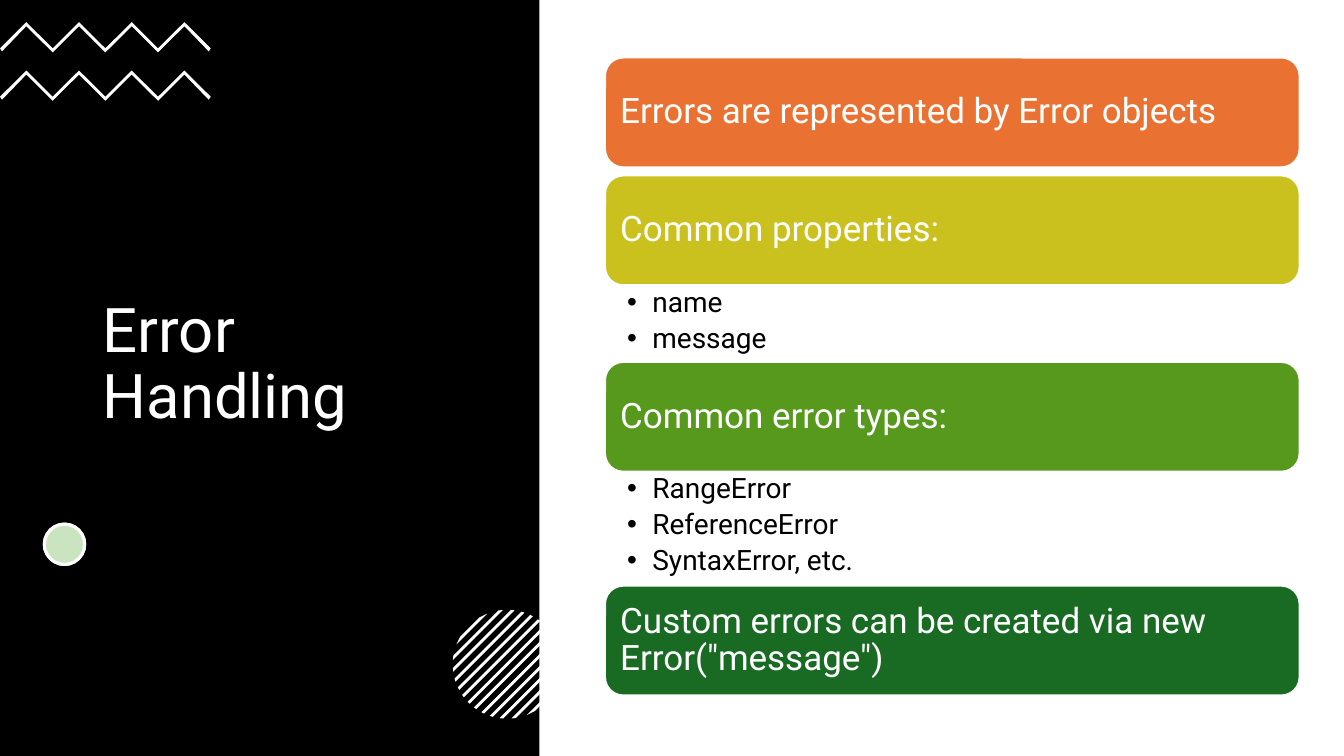
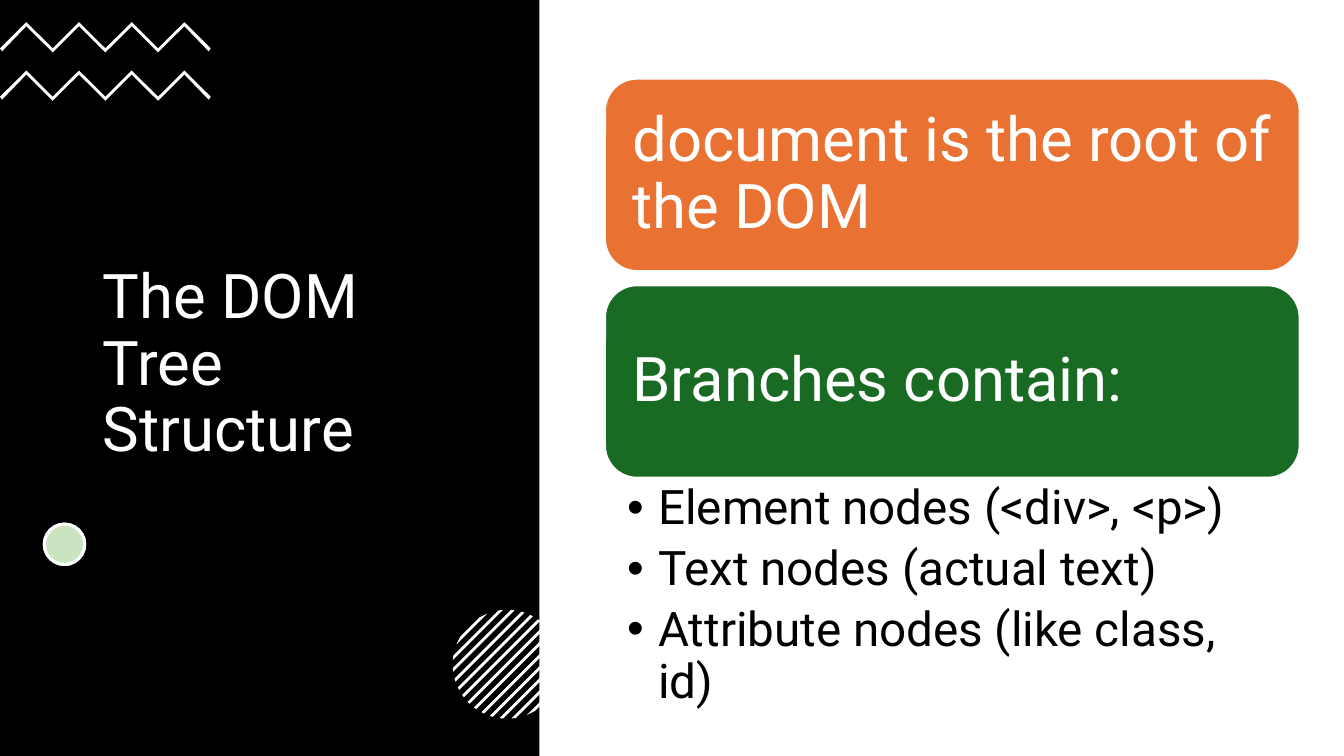
"""Build two slides with a black title panel and stacked topic cards."""
import math
from dataclasses import dataclass

import pptx
import pptx.dml.color
import pptx.enum.shapes
import pptx.enum.text
import pptx.oxml.ns
import pptx.presentation
import pptx.shapes.autoshape
import pptx.slide
import pptx.text.text
import pptx.util
from lxml import etree

Inches = pptx.util.Inches
Pt = pptx.util.Pt
qn = pptx.oxml.ns.qn
Shapes = pptx.enum.shapes.MSO_SHAPE
Anchor = pptx.enum.text.MSO_ANCHOR

COLORS = {
    "black": "000000",
    "white": "FFFFFF",
    "orange": "E97132",
    "olive": "CBC11E",
    "lime": "56991D",
    "green": "196B24",
    "dot": "4EA72E",
}
FONT = "Roboto"
TITLE_SIZE = 44
STACK_LEFT, STACK_WIDTH = 6, 6.89
LAYOUT_BY_LIST_COUNT = {1: 1, 2: 3}


@dataclass(frozen=True)
class Card:
    text: str
    color: str
    items: tuple[str, ...] = ()
    list_height: float = 0


@dataclass(frozen=True)
class StackStyle:
    top: float
    card_height: float
    gap: float
    card_size: int
    card_inset: float
    list_size: int
    list_insets: tuple[float, float, float, float]
    indent: float


@dataclass(frozen=True)
class Topic:
    title: str
    title_width: float
    style: StackStyle
    cards: tuple[Card, ...]


TOPICS = (
    Topic(
        "Error Handling",
        3.95,
        StackStyle(0.57, 1.09, 0.08, 25, 0.1, 20, (0.22, 0.03, 0.19, 0.03), 0.25),
        (
            Card("Errors are represented by Error objects", "orange"),
            Card("Common properties:", "olive", ("name", "message"), 0.76),
            Card(
                "Common error types:",
                "lime",
                ("RangeError", "ReferenceError", "SyntaxError, etc."),
                1.13,
            ),
            Card('Custom errors can be created via new Error("message")', "green"),
        ),
    ),
    Topic(
        "The DOM Tree Structure",
        3.5,
        StackStyle(0.78, 1.91, 0.14, 44, 0.18, 34, (0.22, 0.06, 0.34, 0.06), 0.31),
        (
            Card("document is the root of the DOM", "orange"),
            Card(
                "Branches contain:",
                "green",
                (
                    "Element nodes (<div>, <p>)",
                    "Text nodes (actual text)",
                    "Attribute nodes (like class, id)",
                ),
                1.94,
            ),
        ),
    ),
)


def rgb(name: str) -> pptx.dml.color.RGBColor:
    return pptx.dml.color.RGBColor.from_string(COLORS[name])


def paint(
    shape: pptx.shapes.autoshape.Shape,
    fill: str,
    line: str | None = None,
    width: float = 1.5,
) -> None:
    shape.shadow.inherit = False
    shape.fill.solid()
    shape.fill.fore_color.rgb = rgb(fill)
    if line is None:
        shape.line.fill.background()
    else:
        shape.line.color.rgb = rgb(line)
        shape.line.width = Pt(width)


def place(
    shape: pptx.shapes.autoshape.Shape,
    left: float,
    top: float,
    width: float,
    height: float,
) -> None:
    shape.left, shape.top = Inches(left), Inches(top)
    shape.width, shape.height = Inches(width), Inches(height)


def prepare_frame(
    frame: pptx.text.text.TextFrame,
    insets: tuple[float, float, float, float],
    anchor: Anchor,
) -> None:
    frame.word_wrap = True
    frame.auto_size = pptx.enum.text.MSO_AUTO_SIZE.NONE
    frame.vertical_anchor = anchor
    frame.margin_left, frame.margin_top, frame.margin_right, frame.margin_bottom = (
        Inches(inset) for inset in insets
    )


def write_para(
    para: pptx.text.text._Paragraph,
    text: str,
    size: int,
    color: str,
    after_percent: int = 0,
    indent: float = 0,
) -> None:
    para.alignment = pptx.enum.text.PP_ALIGN.LEFT
    para.line_spacing = 0.9
    para.space_before = para.space_after = Pt(0)
    properties = para._p.get_or_add_pPr()
    after = properties.find(qn("a:spcAft"))
    after.clear()
    etree.SubElement(after, qn("a:spcPct")).set("val", str(after_percent * 1000))
    if indent:
        properties.set("marL", str(Inches(indent)))
        properties.set("indent", str(-Inches(indent)))
    span = para.add_run()
    span.text = text
    span.font.name = FONT
    span.font.size = Pt(size)
    span.font.color.rgb = rgb(color)


def add_polygon(page: pptx.slide.Slide, points: list[tuple[float, float]]) -> None:
    corners = [(Inches(x), Inches(y)) for x, y in points]
    builder = page.shapes.build_freeform(*corners[0])
    builder.add_line_segments(corners[1:], close=True)
    paint(builder.convert_to_shape(), "white")


def add_zigzag(page: pptx.slide.Slide, top: float) -> None:
    step, rise, thickness = 2.09 / 8, 0.26, 0.04
    upper = [(i * step, top + (0 if i % 2 else rise)) for i in range(9)]
    lower = [(x, y + thickness) for x, y in reversed(upper)]
    lower[0] = (2.07, top + 0.29)
    lower[-1] = (0.02, top + 0.29)
    add_polygon(page, upper + lower)


def add_striped_disc(page: pptx.slide.Slide) -> None:
    center_x, center_y, radius = 5.03, 6.59, 0.54
    pitch, half_stripe = 0.12, 0.02
    for number in range(-6, 7):
        corners = []
        for edge, ends in ((-half_stripe, (-1, 1)), (half_stripe, (1, -1))):
            shift = (number * pitch + edge) / 2
            reach = math.sqrt(radius**2 / 2 - shift**2)
            corners += [
                (center_x + shift + end * reach, center_y + shift - end * reach)
                for end in ends
            ]
        add_polygon(page, corners)


def add_dot(page: pptx.slide.Slide) -> None:
    for color in ("white", "dot"):
        dot = page.shapes.add_shape(
            Shapes.OVAL, Inches(0.44), Inches(5.2), Inches(0.4), Inches(0.4)
        )
        paint(dot, color, "white", 2.25)
    tint = dot.fill._xPr.find(qn("a:solidFill"))[0]
    etree.SubElement(tint, qn("a:alpha")).set("val", "30000")


def add_side_panel(page: pptx.slide.Slide, topic: Topic) -> None:
    panel = page.shapes.add_shape(
        Shapes.RECTANGLE, 0, 0, Inches(5.35), Inches(7.5)
    )
    paint(panel, "black")
    page.shapes._spTree.insert(2, panel._element)
    title = page.shapes.title
    place(title, 0.92, 1.31, topic.title_width, 4.63)
    prepare_frame(title.text_frame, (0.1, 0.05, 0.1, 0.05), Anchor.MIDDLE)
    write_para(title.text_frame.paragraphs[0], topic.title, TITLE_SIZE, "white")
    for top in (0.22, 0.7):
        add_zigzag(page, top)
    add_dot(page)
    add_striped_disc(page)


def add_card(
    page: pptx.slide.Slide, card: Card, style: StackStyle, top: float
) -> None:
    box = page.shapes.add_shape(
        Shapes.ROUNDED_RECTANGLE,
        Inches(STACK_LEFT),
        Inches(top),
        Inches(STACK_WIDTH),
        Inches(style.card_height),
    )
    paint(box, card.color, "white")
    prepare_frame(box.text_frame, (style.card_inset,) * 4, Anchor.MIDDLE)
    write_para(box.text_frame.paragraphs[0], card.text, style.card_size, "white", 35)


def fill_list(
    body: pptx.shapes.autoshape.Shape, card: Card, style: StackStyle, top: float
) -> None:
    place(body, STACK_LEFT, top, STACK_WIDTH, card.list_height)
    frame = body.text_frame
    prepare_frame(frame, style.list_insets, Anchor.TOP)
    for number, item in enumerate(card.items):
        para = frame.add_paragraph() if number else frame.paragraphs[0]
        write_para(para, item, style.list_size, "black", 20, style.indent)


def add_topic(deck: pptx.presentation.Presentation, topic: Topic) -> None:
    list_count = sum(bool(card.items) for card in topic.cards)
    page = deck.slides.add_slide(deck.slide_layouts[LAYOUT_BY_LIST_COUNT[list_count]])
    bodies = iter(list(page.placeholders)[1:])
    add_side_panel(page, topic)
    style = topic.style
    top = style.top
    for card in topic.cards:
        add_card(page, card, style, top)
        top += style.card_height
        if card.items:
            fill_list(next(bodies), card, style, top)
            top += card.list_height
        else:
            top += style.gap


def main() -> None:
    deck = pptx.Presentation()
    deck.slide_width, deck.slide_height = Inches(13.33), Inches(7.5)
    for topic in TOPICS:
        add_topic(deck, topic)
    deck.save("out.pptx")


if __name__ == "__main__":
    main()
